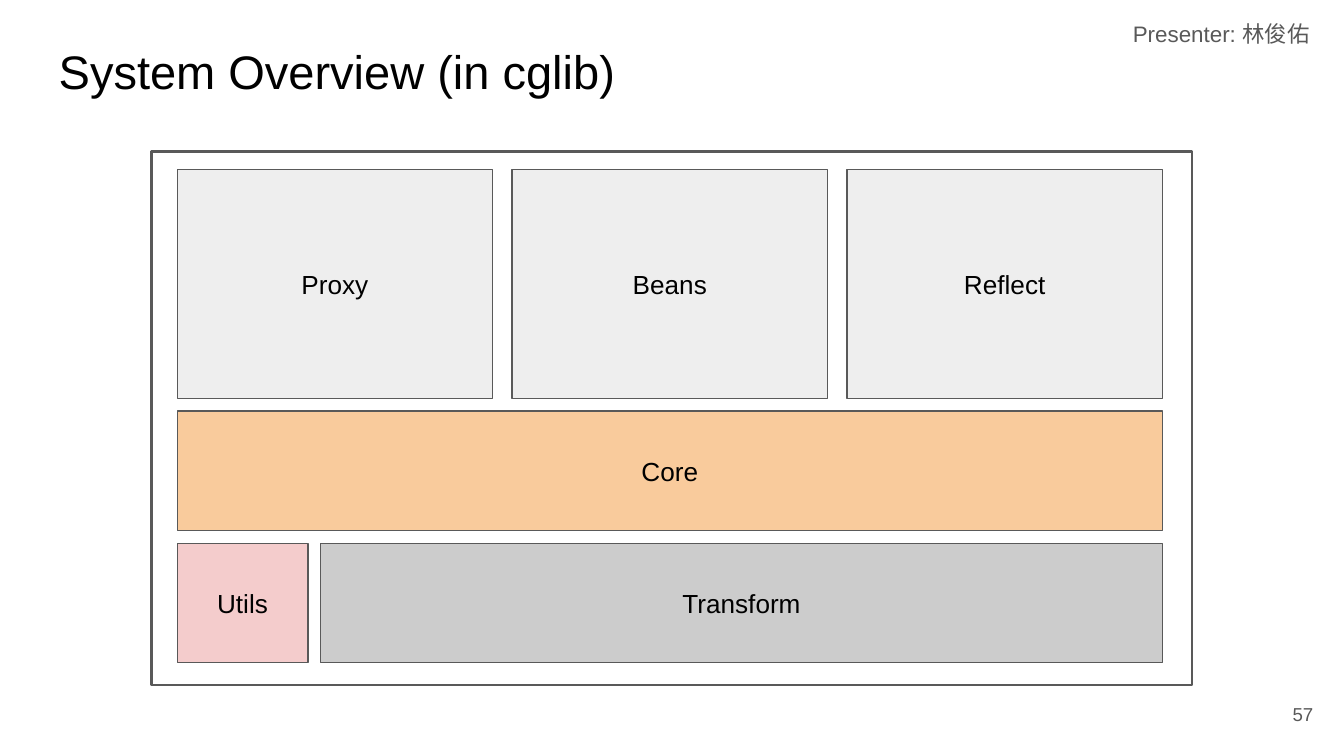
import pptx
import pptx.dml.color
import pptx.enum.shapes
import pptx.enum.text
import pptx.util

Cm = pptx.util.Cm
Pt = pptx.util.Pt
ALIGN = pptx.enum.text.PP_ALIGN
ANCHOR = pptx.enum.text.MSO_ANCHOR


def color(hex_code):
    return pptx.dml.color.RGBColor.from_string(hex_code)


class Diagram:
    font = "Arial"
    ink = "000000"
    muted = "595959"
    inset = Cm(0.25)

    def __init__(self, slide):
        self.slide = slide

    def set_text(self, shape, text, size, ink, align, anchor):
        frame = shape.text_frame
        frame.word_wrap = True
        frame.vertical_anchor = anchor
        frame.margin_left = frame.margin_right = self.inset
        frame.margin_top = frame.margin_bottom = self.inset
        paragraph = frame.paragraphs[0]
        paragraph.text = text
        paragraph.alignment = align
        paragraph.font.name = self.font
        paragraph.font.size = Pt(size)
        paragraph.font.color.rgb = color(ink)

    def label(self, text, left, top, width, height, size, ink,
              align=ALIGN.LEFT, anchor=ANCHOR.TOP):
        box = self.slide.shapes.add_textbox(Cm(left), Cm(top), Cm(width), Cm(height))
        self.set_text(box, text, size, ink, align, anchor)

    def frame(self, left, top, width, height, weight):
        rectangle = self.slide.shapes.add_shape(
            pptx.enum.shapes.MSO_SHAPE.RECTANGLE,
            Cm(left), Cm(top), Cm(width), Cm(height))
        rectangle.shadow.inherit = False
        rectangle.fill.background()
        rectangle.line.color.rgb = color(self.muted)
        rectangle.line.width = Pt(weight)
        return rectangle

    def module(self, name, left, top, width, height, fill):
        block = self.frame(left, top, width, height, 0.75)
        block.fill.solid()
        block.fill.fore_color.rgb = color(fill)
        self.set_text(block, name, 14, self.ink, ALIGN.CENTER, ANCHOR.MIDDLE)


def main():
    deck = pptx.Presentation()
    deck.slide_width = Cm(25.4)
    deck.slide_height = Cm(14.29)
    overview = Diagram(deck.slides.add_slide(deck.slide_layouts[6]))

    overview.label("System Overview (in cglib)", 0.86, 0.56, 23.67, 1.6, 25.2, overview.ink)
    overview.label("Presenter: 林俊佑", 21.16, 0.13, 4.17, 1.75, 12, overview.muted)
    overview.label("57", 23.55, 12.95, 1.52, 1.09, 10, overview.muted,
                   ALIGN.RIGHT, ANCHOR.MIDDLE)

    overview.frame(2.87, 2.87, 19.66, 10.08, 1.5)
    left, width = 3.35, 18.62

    features = ["Proxy", "Beans", "Reflect"]
    feature_width = 5.96
    step = (width - feature_width) / (len(features) - 1)
    for column, feature in enumerate(features):
        overview.module(feature, left + column * step, 3.2, feature_width, 4.33, "EEEEEE")

    gap, row_height, core_top = 0.24, 2.26, 7.77
    overview.module("Core", left, core_top, width, row_height, "F9CB9C")

    base_top = core_top + row_height + gap
    utils_width = 2.47
    transform_offset = utils_width + gap
    overview.module("Utils", left, base_top, utils_width, row_height, "F4CCCC")
    overview.module("Transform", left + transform_offset, base_top,
                    width - transform_offset, row_height, "CCCCCC")

    deck.save("out.pptx")


if __name__ == "__main__":
    main()
